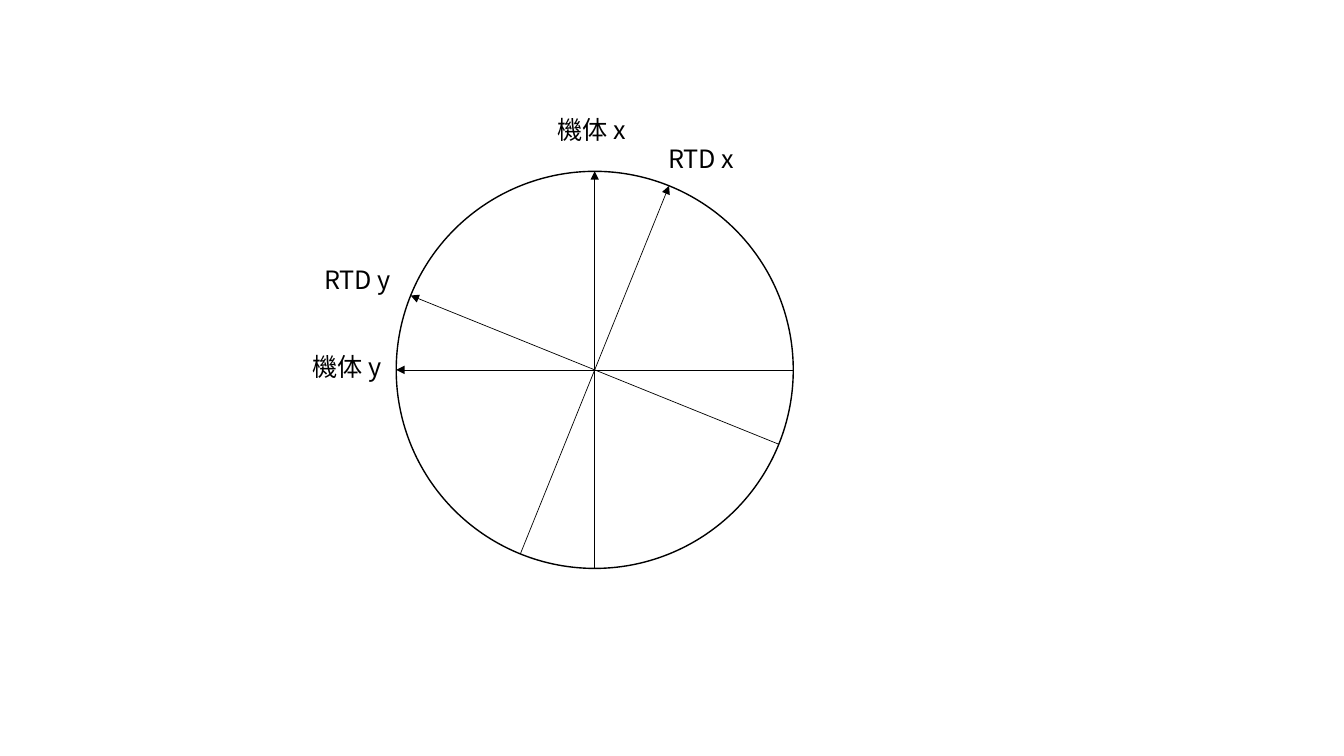
import math

import pptx
import pptx.dml.color
import pptx.enum.shapes
import pptx.oxml
import pptx.oxml.ns
import pptx.util

FONT = "Noto Sans CJK JP"
BLACK = "000000"

# Label, heading in degrees clockwise from up, label offset from the centre, label width
AXES = [
    ("機体 y", -90, (-208.8, -16.6), 82.8),
    ("機体 x", 0, (-33.8, -185.8), 82.8),
    ("RTD x", 22, (45.4, -165.6), 86.4),
    ("RTD y", -68, (-200.2, -79.2), 86.4),
]


def rgb(hex_colour):
    return pptx.dml.color.RGBColor.from_string(hex_colour)


def add_element(parent, tag, **attributes):
    element = pptx.oxml.parse_xml(f"<{tag} {pptx.oxml.ns.nsdecls('a')}/>")
    for name, value in attributes.items():
        element.set(name, value)
    parent.append(element)


def style_line(line, width):
    line.color.rgb = rgb(BLACK)
    line.width = pptx.util.Pt(width)


def add_circle(slide, centre_x, centre_y, radius):
    left, top, size = (
        pptx.util.Pt(value)
        for value in (centre_x - radius, centre_y - radius, 2 * radius)
    )
    circle = slide.shapes.add_shape(
        pptx.enum.shapes.MSO_SHAPE.OVAL, left, top, size, size
    )
    circle.shadow.inherit = False
    circle.fill.background()
    style_line(circle.line, 1)


def add_axis(slide, centre_x, centre_y, radius, heading):
    """Draw an arrow along a whole diameter, pointing at the heading."""
    across = radius * math.sin(math.radians(heading))
    up = radius * math.cos(math.radians(heading))
    axis = slide.shapes.add_connector(
        pptx.enum.shapes.MSO_CONNECTOR.STRAIGHT,
        pptx.util.Pt(centre_x - across),
        pptx.util.Pt(centre_y + up),
        pptx.util.Pt(centre_x + across),
        pptx.util.Pt(centre_y - up),
    )
    style_line(axis.line, 0.5)
    add_element(axis.line._get_or_add_ln(), "a:tailEnd", type="triangle")
    add_element(axis._element.spPr, "a:effectLst")


def add_label(slide, text, left, top, width):
    label = slide.shapes.add_textbox(
        pptx.util.Pt(left), pptx.util.Pt(top), pptx.util.Pt(width), pptx.util.Pt(28.8)
    )
    label.text_frame.word_wrap = True
    paragraph = label.text_frame.paragraphs[0]
    paragraph.text = text
    paragraph.font.size = pptx.util.Pt(18)
    paragraph.font.color.rgb = rgb(BLACK)
    paragraph.font.name = FONT
    add_element(paragraph.font._rPr, "a:ea", typeface=FONT)


def add_axes_diagram(slide, centre_x, centre_y, radius):
    add_circle(slide, centre_x, centre_y, radius)
    for text, heading, (offset_x, offset_y), width in AXES:
        add_axis(slide, centre_x, centre_y, radius, heading)
        add_label(slide, text, centre_x + offset_x, centre_y + offset_y, width)


def main():
    presentation = pptx.Presentation()
    presentation.slide_width = pptx.util.Pt(960)
    presentation.slide_height = pptx.util.Pt(540)
    slide = presentation.slides.add_slide(presentation.slide_layouts[6])
    add_axes_diagram(slide, 424.8, 264.2, 141.8)
    presentation.save("out.pptx")


if __name__ == "__main__":
    main()
